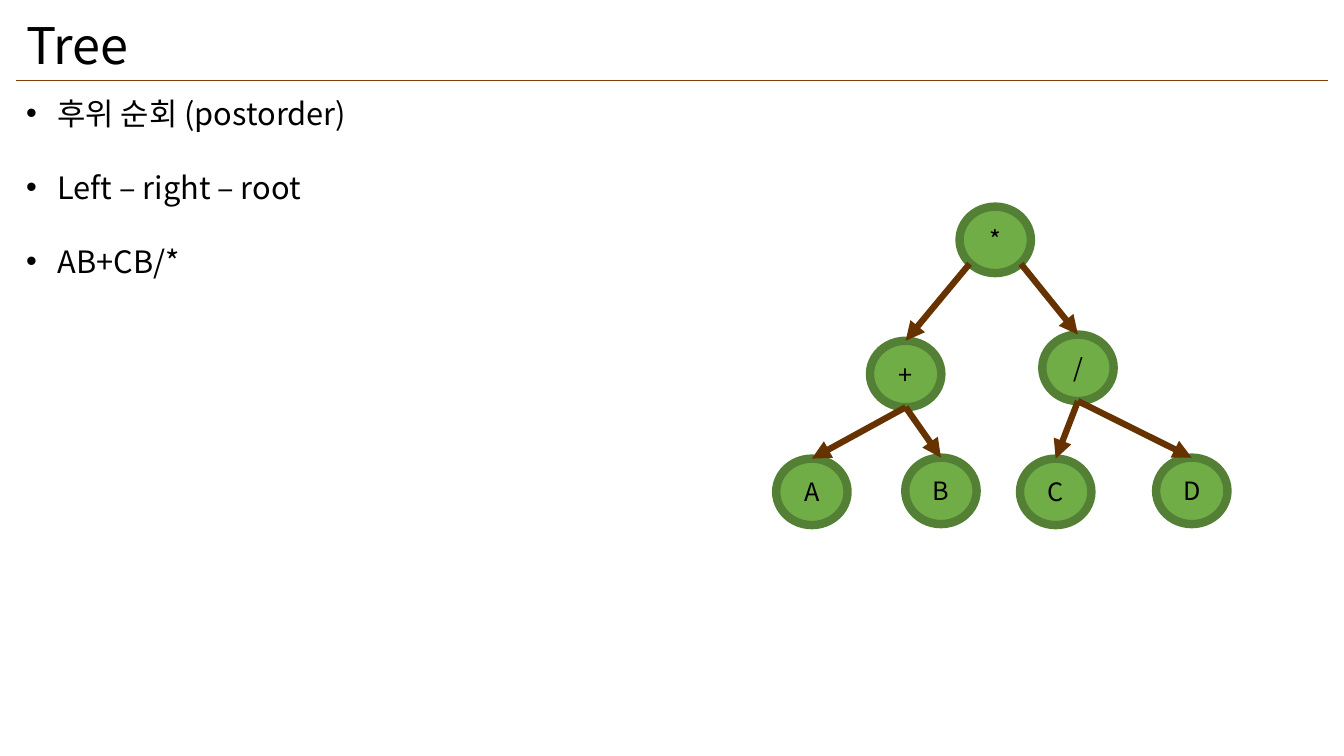
from pptx import Presentation
from pptx.dml.color import RGBColor
from pptx.enum import shapes, text
from pptx.oxml import ns
from pptx.util import Pt
from lxml import etree

FACE = "Noto Sans CJK KR"
WIDE, HIGH = 51, 47.5
NODES = {
    "*": (685.4, 147.6), "+": (621.4, 243.4), "/": (744.5, 239),
    "D": (825.8, 326.9), "B": (646.6, 326.9),
    "A": (554.4, 327.6), "C": (728.6, 327.6),
}
EDGES = [
    ("*", "+", 0.14, 0.86), ("*", "/", 0.86, 0.86),
    ("+", "A", 0.5, 1), ("+", "B", 0.5, 1),
    ("/", "D", 0.5, 1), ("/", "C", 0.5, 1),
]
POINTS = ["후위 순회 (postorder)", "Left – right – root", "AB+CB/*"]


def color(code):
    return RGBColor.from_string(code)


def write(para, words, size):
    run = para.add_run()
    run.text = words
    run.font.size = Pt(size)
    run.font.name = FACE
    run.font.color.rgb = color("000000")
    props = run.font._element
    etree.SubElement(props, ns.qn("a:ea"), typeface=FACE)


def add_box(slide, top, high):
    box = slide.shapes.add_textbox(Pt(11.5), Pt(top), Pt(937.4), Pt(high))
    box.text_frame.word_wrap = True
    return box.text_frame


def add_list(slide):
    frame = add_box(slide, 64.1, 140.4)
    for i, words in enumerate(POINTS):
        para = frame.add_paragraph() if i else frame.paragraphs[0]
        props = para._p.get_or_add_pPr()
        props.set("marL", str(Pt(22.5)))
        props.set("indent", str(Pt(-22.5)))
        if i:
            para.space_before = Pt(26.4)
        etree.SubElement(props, ns.qn("a:buFont"), typeface="Arial")
        etree.SubElement(props, ns.qn("a:buChar"), char="•")
        para.line_spacing = Pt(26.4)
        write(para, words, 22)


def add_node(slide, name, left, top):
    node = slide.shapes.add_shape(
        shapes.MSO_SHAPE.OVAL, Pt(left), Pt(top), Pt(WIDE), Pt(HIGH))
    node.shadow.inherit = False
    node.fill.solid()
    node.fill.fore_color.rgb = color("70AD47")
    node.line.color.rgb = color("538035")
    node.line.width = Pt(6)
    frame = node.text_frame
    frame.vertical_anchor = text.MSO_ANCHOR.MIDDLE
    para = frame.paragraphs[0]
    para.alignment = text.PP_ALIGN.CENTER
    write(para, name, 18)
    return node


def add_line(slide, start, end, code, width):
    line = slide.shapes.add_connector(
        shapes.MSO_CONNECTOR.STRAIGHT, *map(Pt, start + end))
    line.line.color.rgb = color(code)
    line.line.width = Pt(width)
    etree.SubElement(line._element.spPr, ns.qn("a:effectLst"))
    return line


def add_edge(slide, nodes, root, leaf, across, down):
    left, top = NODES[root]
    x, y = NODES[leaf]
    start = (left + WIDE * across, top + HIGH * down)
    edge = add_line(slide, start, (x + WIDE / 2, y), "663300", 4.5)
    etree.SubElement(edge.line._get_or_add_ln(), ns.qn("a:tailEnd"), type="triangle")
    edge.end_connect(nodes[leaf], 0)


def main():
    deck = Presentation()
    deck.slide_width, deck.slide_height = Pt(960), Pt(540)
    slide = deck.slides.add_slide(deck.slide_layouts[6])
    add_line(slide, (11.5, 57.6), (948.5, 57.6), "843C0B", 0.5)
    write(add_box(slide, 6.5, 51.1).paragraphs[0], "Tree", 36)
    add_list(slide)
    nodes = {name: add_node(slide, name, *spot) for name, spot in NODES.items()}
    for edge in EDGES:
        add_edge(slide, nodes, *edge)
    deck.save("out.pptx")


if __name__ == "__main__":
    main()
